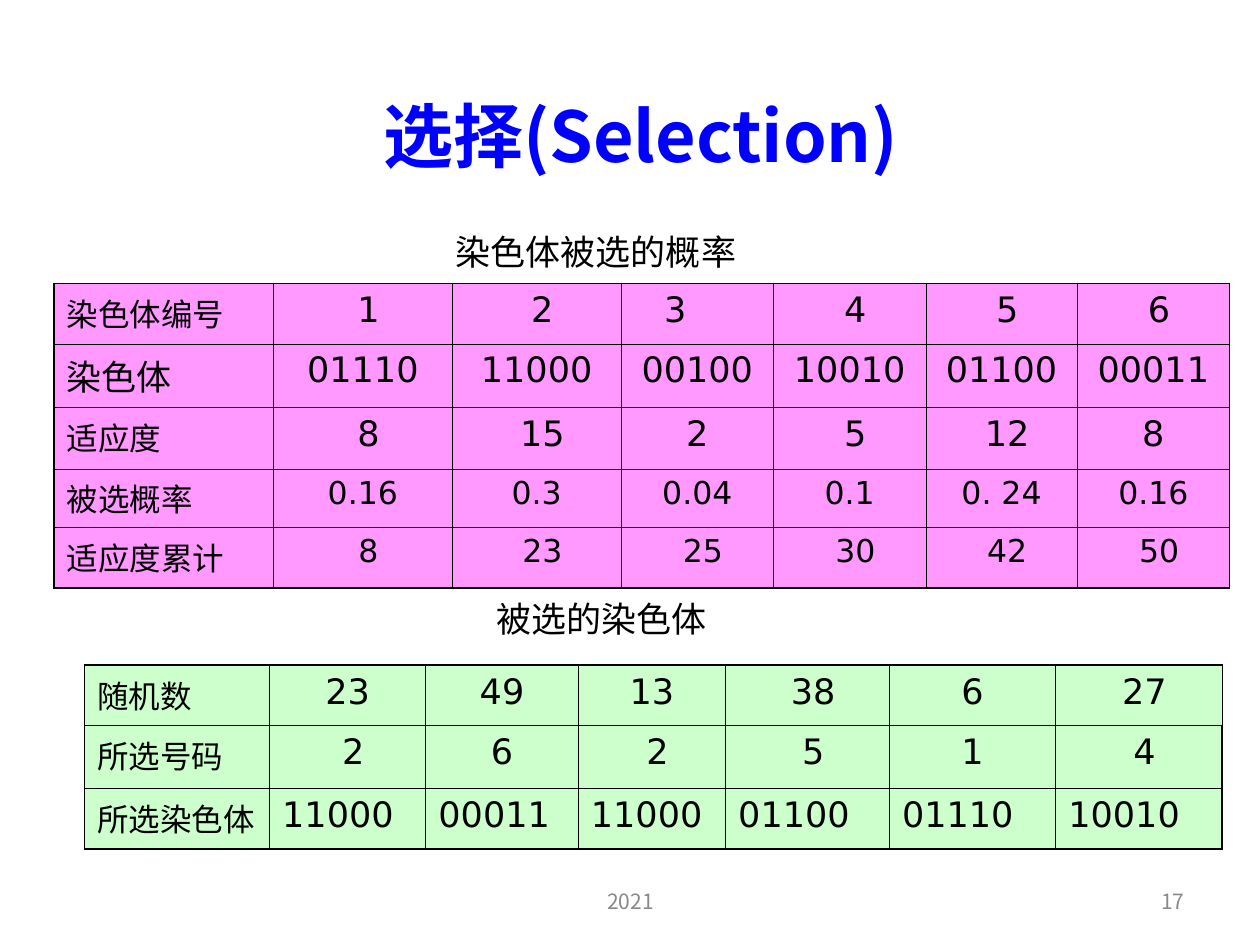
from lxml.etree import SubElement
from pptx import Presentation
from pptx.dml.color import RGBColor
from pptx.enum.text import MSO_ANCHOR, MSO_AUTO_SIZE, PP_ALIGN
from pptx.oxml.ns import qn
from pptx.util import Inches, Pt

COLORS = {"title": "0000FF", "text": "000000", "footer": "898989",
          "pink": "FF99FF", "green": "CCFFCC", "border": "000000"}
CJK = "Noto Sans CJK SC"
THIN, THICK = Pt(0.45), Pt(1.08)
NUDGE = 0.09  # extra left margin that moves a centred value slightly right


def write(tf, text, size=20, font="DejaVu Sans", color="text", bold=False,
          align=PP_ALIGN.LEFT):
    p = tf.paragraphs[0]
    p.alignment = align
    r = p.add_run()
    r.text = text
    r.font.size = Pt(size)
    r.font.name = font
    r.font.bold = bold
    r.font.color.rgb = RGBColor.from_string(COLORS[color])
    SubElement(r._r.get_or_add_rPr(), qn("a:ea"), typeface=CJK)


def add_border(cell, side, width):
    ln = SubElement(cell._tc.get_or_add_tcPr(), qn(f"a:ln{side}"), w=str(width))
    fill = SubElement(ln, qn("a:solidFill"))
    SubElement(fill, qn("a:srgbClr"), val=COLORS["border"])


prs = Presentation()
prs.slide_width, prs.slide_height = Inches(10), Inches(7.5)
s = prs.slides.add_slide(prs.slide_layouts[5])

# Title
title = s.shapes.title
title.left, title.top = Inches(0.75), Inches(0.44)
title.width, title.height = Inches(8.67), Inches(1.25)
title.text_frame.vertical_anchor = MSO_ANCHOR.MIDDLE
write(title.text_frame, "选择(Selection)", size=40, font=CJK, color="title",
      bold=True, align=PP_ALIGN.CENTER)

# Tables: each row is (label size, value size, value alignment, texts)
C, L = PP_ALIGN.CENTER, PP_ALIGN.LEFT
selected = {
    "at": (0.67, 5.28), "fill": "green", "thin_first_sides": True,
    "cols": [1.47, 1.24, 1.21, 1.17, 1.3, 1.32, 1.32],
    "heights": [0.48, 0.5, 0.48],
    "rows": [
        (18, 20, C, ["随机数", "23", "49", "13", "38", "6", "27"]),
        (18, 20, C, ["所选号码", "2", "6", "2", "5", "1", "4"]),
        (18, 20, L, ["所选染色体", "11000", "00011", "11000", "01100", "01110", "10010"]),
    ],
    "nudged": {0: (4, 6), 1: (1, 3, 4, 6)},
}
probability = {
    "at": (0.43, 2.25), "fill": "pink", "thin_first_sides": False,
    "cols": [1.74, 1.42, 1.34, 1.21, 1.21, 1.2, 1.21],
    "heights": [0.48, 0.49, 0.49, 0.46, 0.48],
    "rows": [
        (18, 20, C, ["染色体编号", "1", "2", "3", "4", "5", "6"]),
        (20, 20, C, ["染色体", "01110", "11000", "00100", "10010", "01100", "00011"]),
        (18, 20, C, ["适应度", "8", "15", "2", "5", "12", "8"]),
        (18, 18, C, ["被选概率", "0.16", "0.3", "0.04", "0.1", "0. 24", "0.16"]),
        (18, 18, C, ["适应度累计", "8", "23", "25", "30", "42", "50"]),
    ],
    "nudged": {0: (1, 2, 4, 5, 6), 2: (1, 2, 4, 5), 4: (1, 2, 3, 4, 5, 6)},
}

tables = []
for data in (selected, probability):
    n_rows, n_cols = len(data["rows"]), len(data["cols"])
    left, top = data["at"]
    table = s.shapes.add_table(
        n_rows, n_cols, Inches(left), Inches(top),
        Inches(sum(data["cols"])), Inches(sum(data["heights"]))).table
    table.first_row = table.horz_banding = False
    tables.append(table)
    for col, width in zip(table.columns, data["cols"]):
        col.width = Inches(width)
    for i, (label_size, value_size, align, texts) in enumerate(data["rows"]):
        table.rows[i].height = Inches(data["heights"][i])
        thin_sides = i == 0 and data["thin_first_sides"]
        for j, text in enumerate(texts):
            cell = table.cell(i, j)
            write(cell.text_frame, text, size=value_size if j else label_size,
                  align=align if j else L)
            if j in data["nudged"].get(i, ()):
                cell.margin_left = Inches(0.1 + NUDGE)
            # Thick outer frame, thin inner grid
            outer = {"L": j == 0 and not thin_sides,
                     "R": j == n_cols - 1 and not thin_sides,
                     "T": i == 0, "B": i == n_rows - 1}
            for side, is_outer in outer.items():
                add_border(cell, side, THICK if is_outer else THIN)
            cell.fill.solid()
            cell.fill.fore_color.rgb = RGBColor.from_string(COLORS[data["fill"]])

# The third chromosome number sits left of its column's middle
tables[1].cell(0, 3).margin_right = Inches(0.45)

# Captions grow with their text on one line; footers keep their size
caption = {"font": "Arial", "size": 20}
footer = {"font": CJK, "size": 12, "color": "footer"}
for text, (x, y, w, h), fmt, align in [
    ("染色体被选的概率", (3.48, 1.78, 2.5, 0.44), caption, C),
    ("被选的染色体", (3.84, 4.69, 1.9, 0.44), caption, L),
    ("2021", (3.42, 6.95, 3.17, 0.4), footer, C),
    ("17", (7.17, 6.95, 2.33, 0.4), footer, PP_ALIGN.RIGHT),
]:
    tf = s.shapes.add_textbox(Inches(x), Inches(y), Inches(w), Inches(h)).text_frame
    if fmt is footer:
        tf.word_wrap = True
        tf.vertical_anchor = MSO_ANCHOR.MIDDLE
    else:
        tf.word_wrap = False
        tf.auto_size = MSO_AUTO_SIZE.SHAPE_TO_FIT_TEXT
    write(tf, text, align=align, **fmt)

prs.save("out.pptx")
